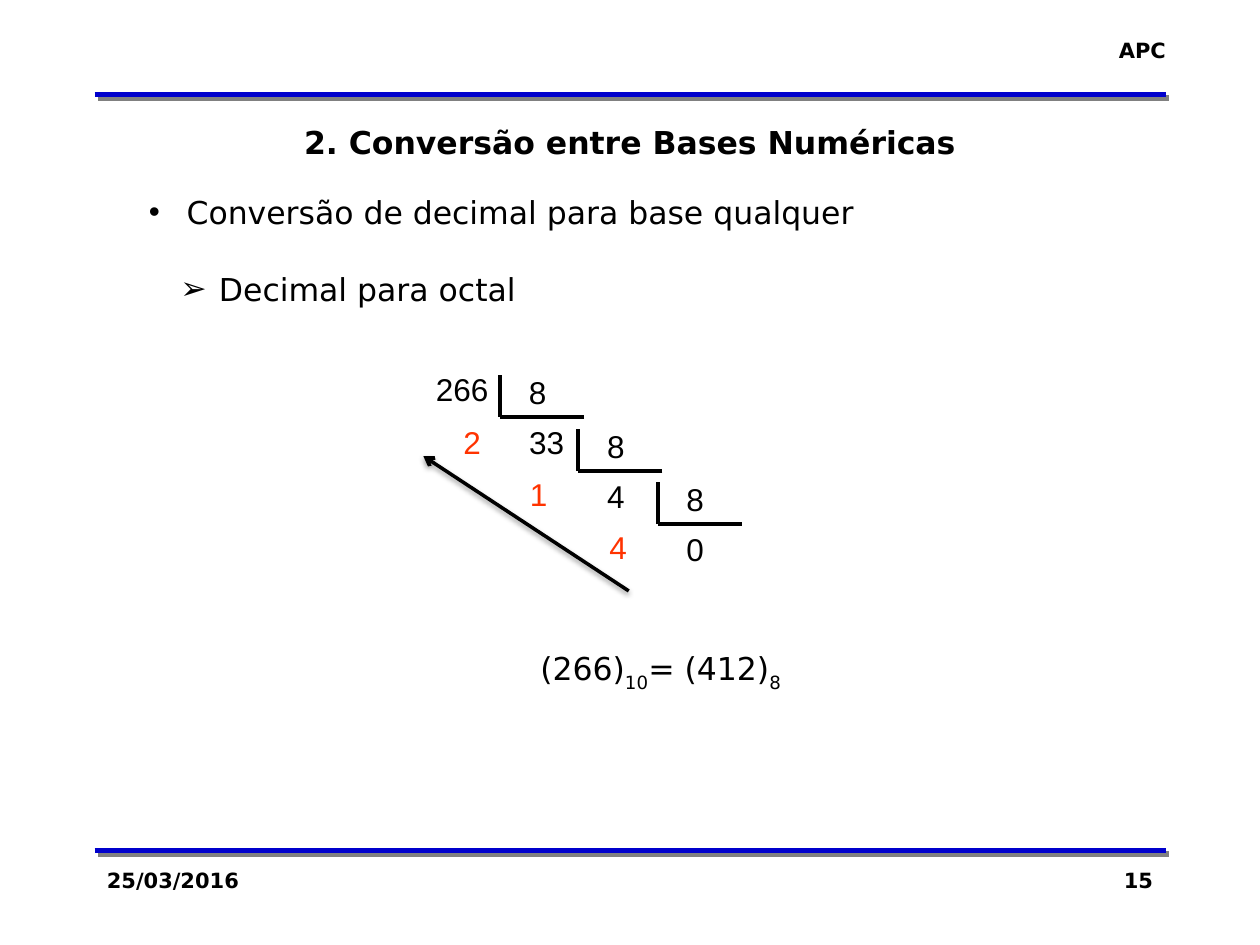
from dataclasses import dataclass

from lxml import etree
from pptx import Presentation
from pptx.dml.color import RGBColor
from pptx.enum.shapes import MSO_CONNECTOR
from pptx.enum.text import PP_ALIGN
from pptx.oxml.ns import qn
from pptx.util import Pt

STRAIGHT = MSO_CONNECTOR.STRAIGHT
LEFT, CENTER, RIGHT, JUSTIFY = PP_ALIGN.LEFT, PP_ALIGN.CENTER, PP_ALIGN.RIGHT, PP_ALIGN.JUSTIFY


@dataclass(frozen=True)
class Theme:
    ink: str = "000000"
    rule: str = "0000CC"
    rule_shadow: str = "808080"
    remainder: str = "FF3300"
    text_font: str = "DejaVu Sans"
    digit_font: str = "Arial"
    body: int = 18
    small: int = 12


THEME = Theme()


def format_paragraph(paragraph, text, *, size=THEME.body, font=THEME.text_font,
                     color=THEME.ink, bold=False, align=LEFT, before=0,
                     margin=0, indent=0, bullet=None):
    """Fill a paragraph; text is a string or a list of (string, baseline %)."""
    paragraph.alignment = align
    paragraph.space_before = Pt(before)
    props = paragraph._p.get_or_add_pPr()
    props.set("marL", str(Pt(margin)))
    props.set("indent", str(Pt(indent)))
    if bullet:
        etree.SubElement(props, qn("a:buFont"), typeface=THEME.digit_font)
        etree.SubElement(props, qn("a:buChar"), char=bullet)
    for part, baseline in [(text, 0)] if isinstance(text, str) else text:
        run = paragraph.add_run()
        run.text = part
        run.font.size = Pt(size)
        run.font.name = font
        run.font.bold = bold
        run.font.color.rgb = RGBColor.from_string(color)
        if baseline:
            run.font._element.set("baseline", str(baseline * 1000))


def add_text(slide, box, paragraphs, wrap=True):
    """Add a text box holding (text, format) paragraphs."""
    frame = slide.shapes.add_textbox(*map(Pt, box)).text_frame
    frame.word_wrap = wrap
    for number, (text, style) in enumerate(paragraphs):
        paragraph = frame.add_paragraph() if number else frame.paragraphs[0]
        format_paragraph(paragraph, text, **style)


def add_line(slide, start, end, *, width, color=THEME.ink, arrow=False, shadow=None):
    """Add a line; shadow is (colour, opacity %, blur, distance, degrees)."""
    line = slide.shapes.add_connector(STRAIGHT, *map(Pt, (*start, *end)))
    line.line.width = Pt(width)
    line.line.color.rgb = RGBColor.from_string(color)
    if arrow:
        etree.SubElement(line.line._get_or_add_ln(), qn("a:tailEnd"), type="arrow")
    effects = etree.SubElement(line._element.spPr, qn("a:effectLst"))
    if shadow:
        shade, opacity, blur, distance, degrees = shadow
        outer = etree.SubElement(effects, qn("a:outerShdw"), blurRad=str(Pt(blur)),
                                 dist=str(Pt(distance)), dir=str(degrees * 60000),
                                 rotWithShape="0")
        tint = etree.SubElement(outer, qn("a:srgbClr"), val=shade)
        etree.SubElement(tint, qn("a:alpha"), val=str(opacity * 1000))


def add_digits(slide, left, top, number, color=THEME.ink):
    digits = str(number)
    add_text(slide, (left, top, 15 + 10 * len(digits), 29),
             [(digits, dict(font=THEME.digit_font, color=color))], wrap=False)


def add_division(slide, dividend, base):
    """Draw the successive divisions as a staircase of brackets."""
    corners = [(285.8, 238.3), (330.5, 269.3), (375.8, 299.5)]
    remainder_places = [(257.7, 238.3), (295.8, 267.8), (341.2, 298)]
    add_digits(slide, 242, 208, dividend)
    quotient = dividend
    for (x, y), remainder_place in zip(corners, remainder_places):
        quotient, remainder = divmod(quotient, base)
        add_line(slide, (x, y - 24), (x, y), width=2.25)
        add_line(slide, (x + 48, y), (x, y), width=2.25)
        add_digits(slide, x + 9.4, y - 28.8, base)
        add_digits(slide, x + 9.4, y, quotient)
        add_digits(slide, *remainder_place, remainder, THEME.remainder)


def main():
    prs = Presentation()
    prs.slide_width, prs.slide_height = Pt(720), Pt(540)
    slide = prs.slides.add_slide(prs.slide_layouts[6])

    # Header and footer
    label = dict(size=THEME.small, bold=True)
    for y in (486, 54):
        add_line(slide, (54, y), (666, y), width=3, color=THEME.rule,
                 shadow=(THEME.rule_shadow, 100, 0, 2.8, 45))
    add_text(slide, (631.4, 18, 42, 21.6), [("APC", dict(label, align=RIGHT))], wrap=False)
    add_text(slide, (54, 492, 150, 36), [("25/03/2016", label)])
    add_text(slide, (516, 492, 150, 36), [("15", dict(label, align=RIGHT))])

    # Topic and result
    add_text(slide, (78, 106.6, 569, 312), [
        ("Conversão de decimal para base qualquer",
         dict(align=JUSTIFY, bullet="•", margin=21.5, indent=-21.5)),
        ("Decimal para octal",
         dict(align=JUSTIFY, bullet="➢", margin=40, indent=-22, before=22.4)),
        ([("(266)", 0), ("10", -30), ("= (412)", 0), ("8", -30)],
         dict(align=CENTER, margin=30, before=195)),
    ])
    add_text(slide, (54, 66.6, 612, 51),
             [("2. Conversão entre Bases Numéricas", dict(bold=True, align=CENTER))])

    # Division and reading direction of the remainders
    add_division(slide, 266, 8)
    add_line(slide, (359.3, 337.7), (241.9, 260.6), width=2, arrow=True,
             shadow=(THEME.ink, 38, 3.1, 1.6, 90))

    prs.save("out.pptx")


if __name__ == "__main__":
    main()
